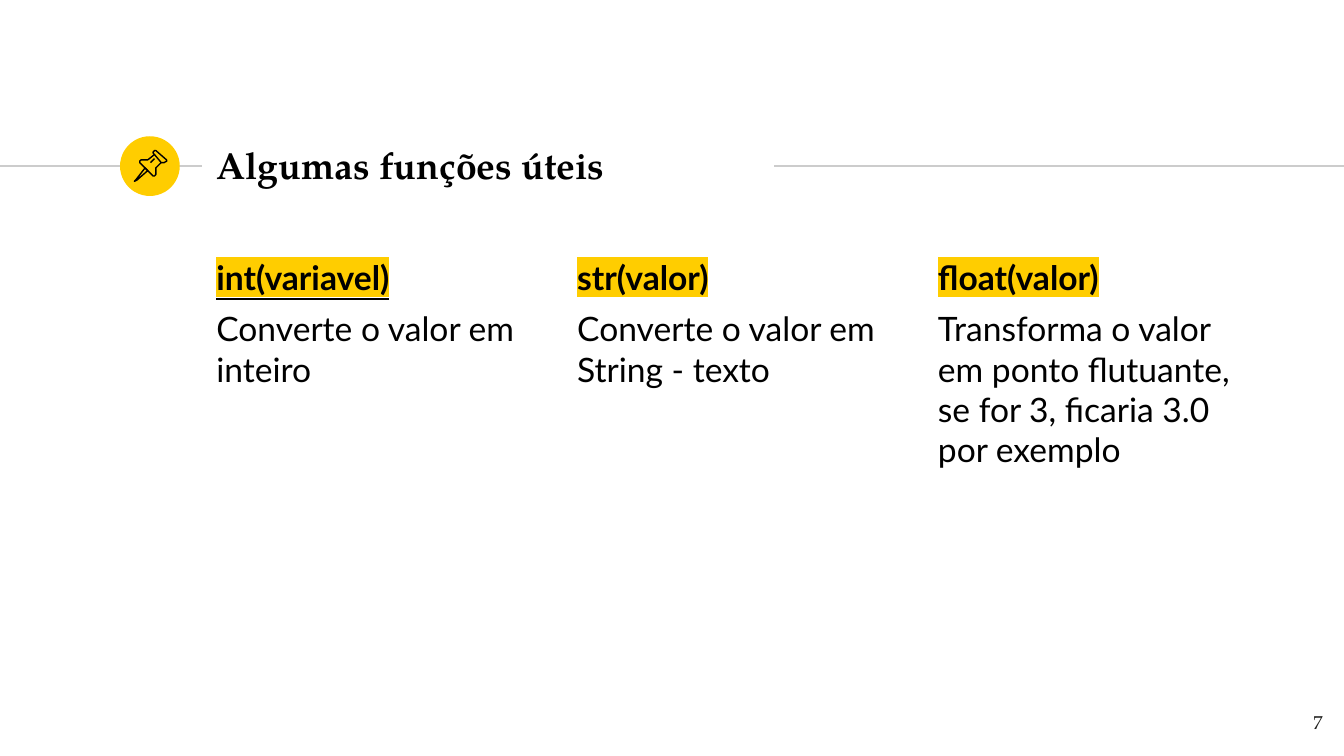
"""Build a slide that presents three useful conversion functions in columns."""
from lxml import etree
from pptx import Presentation
from pptx.dml.color import RGBColor
from pptx.enum.shapes import MSO_CONNECTOR, MSO_SHAPE
from pptx.enum.text import MSO_ANCHOR, MSO_AUTO_SIZE, PP_ALIGN
from pptx.oxml.ns import qn
from pptx.util import Pt

STRAIGHT = MSO_CONNECTOR.STRAIGHT
ELLIPSE = MSO_SHAPE.OVAL
TOP, MIDDLE = MSO_ANCHOR.TOP, MSO_ANCHOR.MIDDLE
LEFT, RIGHT = PP_ALIGN.LEFT, PP_ALIGN.RIGHT
NO_AUTOFIT = MSO_AUTO_SIZE.NONE
SERIF, SANS = "TeX Gyre Pagella", "Lato"
BLACK, YELLOW, GREY = "000000", "FFCD00", "CCCCCC"


def color(hex_string):
    return RGBColor.from_string(hex_string)


def write(shape, box, lines, font=SANS, size=18, fill=BLACK, align=LEFT, anchor=TOP, before=0):
    """Place a shape and fill it with (text, bold, underline, highlight) lines."""
    shape.left, shape.top, shape.width, shape.height = [Pt(length) for length in box]
    frame = shape.text_frame
    frame.word_wrap = True
    frame.auto_size = NO_AUTOFIT
    frame.vertical_anchor = anchor
    frame.margin_left = frame.margin_right = frame.margin_top = frame.margin_bottom = Pt(7.2)
    for index, (text, bold, underline, highlight) in enumerate(lines):
        paragraph = frame.add_paragraph() if index else frame.paragraphs[0]
        paragraph.alignment = align
        paragraph.space_before = Pt(before)
        properties = paragraph._p.get_or_add_pPr()
        properties.set("marL", "0")
        properties.set("indent", "0")
        etree.SubElement(properties, qn("a:buNone"))
        run = paragraph.add_run()
        run.text = text
        run.font.size = Pt(size)
        run.font.bold = bold
        run.font.underline = underline
        run.font.color.rgb = color(fill)
        if highlight:
            mark = etree.SubElement(run._r.get_or_add_rPr(), qn("a:highlight"))
            etree.SubElement(mark, qn("a:srgbClr")).set("val", highlight)
        run.font.name = font


presentation = Presentation()
presentation.slide_width, presentation.slide_height = Pt(720), Pt(405)
slide = presentation.slides.add_slide(presentation.slide_layouts.get_by_name("Comparison"))
title, *bodies = slide.placeholders
spare = bodies.pop()
spare._element.getparent().remove(spare._element)

rule_y = 89
for start, end in [(0, 108), (414.7, 720)]:
    rule = slide.shapes.add_connector(STRAIGHT, Pt(start), Pt(rule_y), Pt(end), Pt(rule_y))
    rule.line.color.rgb = color(GREY)
    rule.line.width = Pt(0.75)
    etree.SubElement(rule._element.spPr, qn("a:effectLst"))

badge = slide.shapes.add_shape(ELLIPSE, Pt(64.3), Pt(rule_y - 16), Pt(32), Pt(32))
badge.shadow.inherit = False
badge.fill.solid()
badge.fill.fore_color.rgb = color(YELLOW)
badge.line.fill.background()

pin_outlines = [
    ([(108, 125), (101, 134), (100, 135), (102, 134), (110, 127)], True),
    ([(115, 115), (120, 121), (122, 121), (124, 120), (124, 119), (116, 112),
      (115, 112), (114, 113), (114, 114)], True),
    ([(115, 115), (110, 119), (107, 119), (105, 119), (104, 120), (104, 121),
      (114, 131), (115, 131), (116, 130), (116, 125), (120, 121)], False),
    ([(112, 121), (115, 118)], False),
]
pin = slide.shapes.add_group_shape()
for points, closed in pin_outlines:
    builder = pin.shapes.build_freeform(*points[0], scale=Pt(0.72))
    builder.add_line_segments(points[1:], close=closed)
    outline = builder.convert_to_shape()
    outline.shadow.inherit = False
    outline.fill.background()
    outline.line.color.rgb = color(BLACK)
    outline.line.width = Pt(0.75)

write(title, (108.7, 70.6, 305.3, 34.6), [("Algumas funções úteis", True, False, None)],
      font=SERIF, size=20, anchor=MIDDLE)

functions = [
    ("int(variavel)", True, "Converte o valor em inteiro"),
    ("str(valor)", False, "Converte o valor em String - texto"),
    ("float(valor)", False,
     "Transforma o valor em ponto flutuante, se for 3, ficaria 3.0 por exemplo"),
]
for column, (body, (call, underline, meaning)) in enumerate(zip(bodies, functions)):
    write(body, (108.7 + 193.3 * column, 130.3, 183.6, 245.5),
          [(call, True, underline, YELLOW), (meaning, False, False, None)], before=6)

page_number = slide.shapes.add_textbox(0, 0, 0, 0)
write(page_number, (672.5, 373.7, 43.2, 31), [("7", False, False, None)],
      font=SERIF, size=10, fill="1D1D1B", align=RIGHT)

presentation.save("out.pptx")
